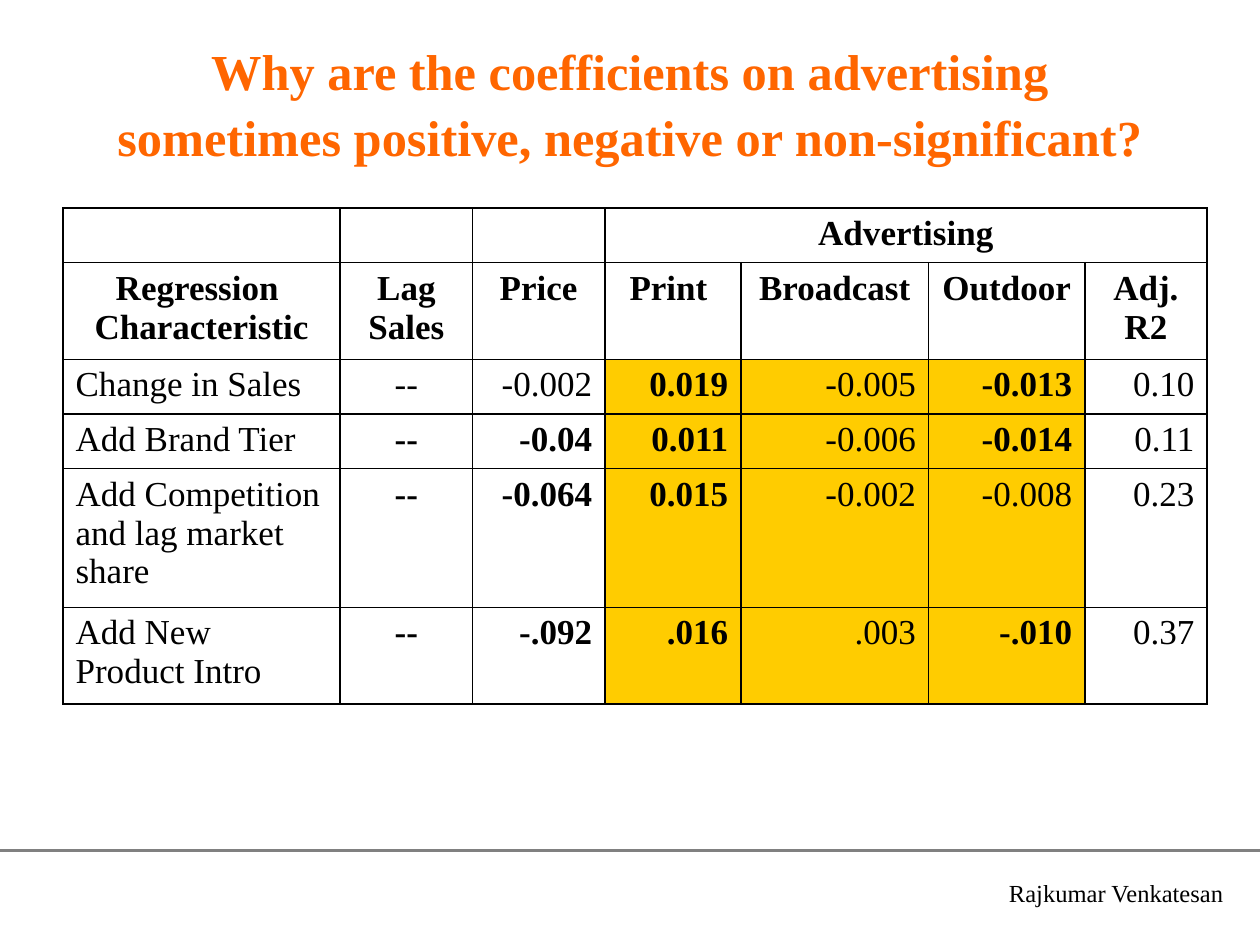
from lxml.etree import SubElement
from pptx import Presentation
from pptx.dml.color import RGBColor
from pptx.enum.shapes import MSO_CONNECTOR
from pptx.enum.text import MSO_ANCHOR, PP_ALIGN
from pptx.oxml.ns import qn
from pptx.util import Inches, Pt

COLORS = {"title": "FF6600", "text": "000000", "rule": "808080",
          "border": "000000", "highlight": "FFCC00"}
FONT = "Times New Roman"
LEFT, CENTER, RIGHT = PP_ALIGN.LEFT, PP_ALIGN.CENTER, PP_ALIGN.RIGHT


def write_text(frame, text, size=20, color="text", bold=False, align=LEFT, spacing=None):
    frame.text = text
    for paragraph in frame.paragraphs:
        paragraph.alignment = align
        paragraph.line_spacing = spacing
        font = paragraph.runs[0].font
        font.name, font.size, font.bold = FONT, Pt(size), bold
        font.color.rgb = RGBColor.from_string(COLORS[color])


def add_borders(cell, width=1):
    properties = cell._tc.get_or_add_tcPr()
    for side in ("lnL", "lnR", "lnT", "lnB"):
        line = SubElement(properties, qn(f"a:{side}"), w=str(Pt(width)))
        fill = SubElement(line, qn("a:solidFill"))
        SubElement(fill, qn("a:srgbClr"), val=COLORS["border"])


presentation = Presentation()
W = presentation.slide_width = Inches(10)
H = presentation.slide_height = Inches(7.5)
slide = presentation.slides.add_slide(presentation.slide_layouts[6])
shapes = slide.shapes

# Footer
footer = shapes.add_textbox(int(0.791 * W), int(0.923 * H), int(0.193 * W), int(0.044 * H))
footer.text_frame.word_wrap = False
write_text(footer.text_frame, "Rajkumar Venkatesan", size=14)

rule = shapes.add_connector(MSO_CONNECTOR.STRAIGHT, 0, int(0.9 * H), W, int(0.9 * H))
rule.line.color.rgb = RGBColor.from_string(COLORS["rule"])
rule.line.width = Pt(2.25)
SubElement(rule._element.spPr, qn("a:effectLst"))

# Title
title = shapes.add_textbox(int(0.075 * W), int(0.056 * H), int(0.85 * W), int(0.1 * H))
title.text_frame.word_wrap = True
title.text_frame.vertical_anchor = MSO_ANCHOR.MIDDLE
write_text(title.text_frame,
           "Why are the coefficients on advertising sometimes positive, "
           "negative or non-significant?",
           size=28.8, color="title", bold=True, align=CENTER, spacing=1.1)

# Regression table: a leading * marks a significant (bold) value
ROWS = [
    ["", "", "", "*Advertising", "", "", ""],
    ["*Regression \nCharacteristic", "*Lag Sales", "*Price", "*Print ", "*Broadcast",
     "*Outdoor", "*Adj. R2"],
    ["Change in Sales", "--", "-0.002", "*0.019", "-0.005", "*-0.013", "0.10"],
    ["Add Brand Tier", "*--", "*-0.04", "*0.011", "-0.006", "*-0.014", "0.11"],
    ["Add Competition and lag market share", "*--", "*-0.064", "*0.015", "-0.002",
     "-0.008", "0.23"],
    ["Add New Product Intro", "*--", "*-.092", "*.016", ".003", "*-.010", "0.37"],
]
COLUMN_SHARES = [0.22, 0.105, 0.105, 0.108, 0.149, 0.124, 0.097]
LINES_PER_ROW = [1, 2, 1, 1, 3, 2]
HEADER_ROWS = 2
ADVERTISING_COLUMNS = range(3, 6)
COLUMN_ALIGNS = [LEFT, CENTER] + [RIGHT] * 5

row_heights = [Inches(0.1 + 0.31 * lines) for lines in LINES_PER_ROW]
table = shapes.add_table(len(ROWS), len(COLUMN_SHARES), int(0.05 * W), int(0.22 * H),
                         int(sum(COLUMN_SHARES) * W), sum(row_heights)).table
table.first_row = table.horz_banding = False
for column, share in zip(table.columns, COLUMN_SHARES):
    column.width = int(share * W)
for row, height in zip(table.rows, row_heights):
    row.height = height
table.cell(0, 3).merge(table.cell(0, 6))

for r, values in enumerate(ROWS):
    for c, value in enumerate(values):
        cell = table.cell(r, c)
        add_borders(cell)
        if r >= HEADER_ROWS and c in ADVERTISING_COLUMNS:
            cell.fill.solid()
            cell.fill.fore_color.rgb = RGBColor.from_string(COLORS["highlight"])
        else:
            cell.fill.background()
        if value:
            write_text(cell.text_frame, value.lstrip("*"), bold=value.startswith("*"),
                       align=CENTER if r < HEADER_ROWS else COLUMN_ALIGNS[c])

presentation.save("out.pptx")
